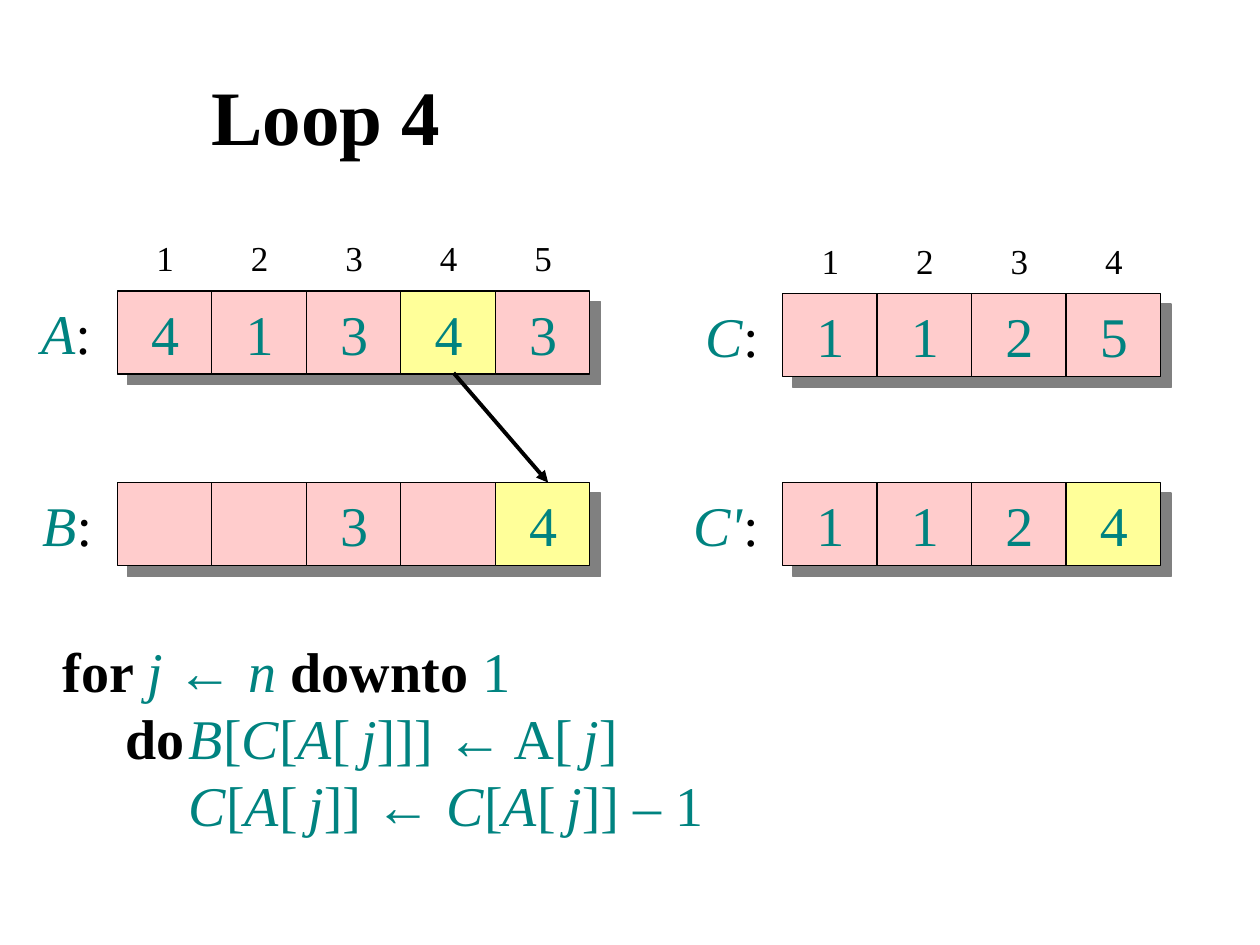
import lxml.etree
import pptx
import pptx.dml.color
import pptx.enum.shapes
import pptx.enum.text
import pptx.oxml
import pptx.oxml.ns
import pptx.util

ALIGN = pptx.enum.text.PP_ALIGN
ANCHOR = pptx.enum.text.MSO_ANCHOR
PX = 9144  # EMU in one px, at 100 px to the inch
COLORS = {"ink": "000000", "teal": "008380", "cell": "FFCCCC",
          "active": "FFFF99", "shadow": "808080"}
STYLES = {
    "title": {"size": 44, "color": "ink", "bold": True},
    "keyword": {"color": "ink", "bold": True},
    "plain": {"color": "ink"},
    "index": {"size": 20, "color": "ink"},
    "variable": {"italic": True},
    "value": {},
    "arrow": {"face": "Arial"},
    "gap": {"size": 24},
}

CELL_WIDTH, CELL_HEIGHT = 75, 66
# name, name left, name width, first cell left, top, values, active cell, indexed
ARRAYS = [
    ("A", 21, 61, 93, 231, "41343", 3, True),
    ("B", 22, 61, 93, 383, "  3 4", 4, False),
    ("C", 548, 64, 621, 233, "1125", None, True),
    ("C'", 539, 73, 621, 383, "1124", 3, False),
]

# the runs of "[ j]"
AT_J = [("[", "value"), (" ", "gap"), ("j", "variable"), ("]", "value")]
C_AT_A_AT_J = [("C", "variable"), ("[", "value"), ("A", "variable"), *AT_J, ("]", "value")]
CODE = [
    [("for ", "keyword"), ("j ", "variable"), ("← ", "arrow"), ("n ", "variable"),
     ("downto ", "keyword"), ("1", "value")],
    [("do\t", "keyword"), ("B", "variable"), ("[", "value"), *C_AT_A_AT_J,
     ("] ", "value"), ("←", "arrow"), (" A", "value"), *AT_J],
    [("\t", "plain"), *C_AT_A_AT_J, (" ", "value"), ("← ", "arrow"), *C_AT_A_AT_J,
     (" – 1", "value")],
]


def rgb(name):
    return pptx.dml.color.RGBColor.from_string(COLORS[name])


def add_run(paragraph, text, face="Times New Roman", size=32, color="teal",
            bold=False, italic=False):
    run = paragraph.add_run()
    run.text = text
    font = run.font
    font.name, font.size = face, pptx.util.Pt(size)
    font.bold, font.italic = bold, italic
    font.color.rgb = rgb(color)


class Deck:
    """Holds the look of the slide and the slide being filled."""

    def __init__(self, width, height):
        self.presentation = pptx.Presentation()
        self.presentation.slide_width = width * PX
        self.presentation.slide_height = height * PX
        self.slide = self.presentation.slides.add_slide(self.presentation.slide_layouts[5])
        self.shapes = self.slide.shapes

    def fill_paragraph(self, paragraph, runs, align=ALIGN.LEFT):
        paragraph.alignment = align
        for text, style in runs:
            add_run(paragraph, text, **STYLES[style])

    def title(self, text, left, top, width, height):
        heading = self.shapes.title
        heading.left, heading.top = left * PX, top * PX
        heading.width, heading.height = width * PX, height * PX
        heading.text_frame.vertical_anchor = ANCHOR.MIDDLE
        paragraph = heading.text_frame.paragraphs[0]
        paragraph.line_spacing = 0.9
        self.fill_paragraph(paragraph, [(text, "title")])

    def label(self, runs, left, top, width, height, align=ALIGN.CENTER, anchor=ANCHOR.TOP):
        box = self.shapes.add_textbox(left * PX, top * PX, width * PX, height * PX)
        frame = box.text_frame
        frame.word_wrap = False
        frame.auto_size = pptx.enum.text.MSO_AUTO_SIZE.SHAPE_TO_FIT_TEXT
        frame.vertical_anchor = anchor
        self.fill_paragraph(frame.paragraphs[0], runs, align)
        return box

    def cell(self, value, left, top, color):
        tile = self.shapes.add_shape(
            pptx.enum.shapes.MSO_SHAPE.ROUNDED_RECTANGLE,
            left * PX, top * PX, CELL_WIDTH * PX, CELL_HEIGHT * PX)
        tile.adjustments[0] = 0
        tile.fill.solid()
        tile.fill.fore_color.rgb = rgb(color)
        tile.line.color.rgb = rgb("ink")
        tile.line.width = pptx.util.Pt(0.75)
        self.drop_shadow(tile)
        if value.strip():
            digit = self.label([(value, "value")], left + 17, top + 1, 42, 64,
                               anchor=ANCHOR.MIDDLE)
            self.shapes.add_group_shape([tile, digit])

    def drop_shadow(self, shape):
        shape.shadow.inherit = False
        effects = shape._element.spPr.find(pptx.oxml.ns.qn("a:effectLst"))
        shadow = lxml.etree.SubElement(
            effects, pptx.oxml.ns.qn("a:outerShdw"), blurRad="0",
            dist=str(pptx.util.Pt(8.5)), dir="2700000", algn="ctr", rotWithShape="0")
        lxml.etree.SubElement(shadow, pptx.oxml.ns.qn("a:srgbClr"), val=COLORS["shadow"])

    def array(self, name, name_left, name_width, left, top, values, active, indexed):
        self.label([(name, "variable"), (":", "plain")], name_left, top + 1,
                   name_width, 64, align=ALIGN.RIGHT)
        for i, value in enumerate(values):
            cell_left = left + i * CELL_WIDTH
            self.cell(value, cell_left, top, "active" if i == active else "cell")
            if indexed:
                self.label([(str(i + 1), "index")], cell_left + 21, top - 48, 34, 44)

    def code(self, lines, left, top, width, height):
        box = self.shapes.add_textbox(left * PX, top * PX, width * PX, height * PX)
        frame = box.text_frame
        frame.word_wrap = True
        for i, runs in enumerate(lines):
            paragraph = frame.add_paragraph() if i else frame.paragraphs[0]
            if i:
                self.indent(paragraph, 50, 150)
            self.fill_paragraph(paragraph, runs)

    def indent(self, paragraph, margin, tab):
        """Indent a paragraph and set its tab stop, both from the text edge of the box."""
        paragraph.level = 1
        properties = paragraph._p.get_or_add_pPr()
        properties.set("marL", str(margin * PX))
        properties.set("indent", "0")
        tabs = lxml.etree.SubElement(properties, pptx.oxml.ns.qn("a:tabLst"))
        lxml.etree.SubElement(tabs, pptx.oxml.ns.qn("a:tab"), pos=str(tab * PX), algn="l")

    def arrow(self, x1, y1, x2, y2):
        link = self.shapes.add_connector(
            pptx.enum.shapes.MSO_CONNECTOR.STRAIGHT, x1 * PX, y1 * PX, x2 * PX, y2 * PX)
        link.line.color.rgb = rgb("ink")
        link.line.width = pptx.util.Pt(2.25)
        lxml.etree.SubElement(link.line._get_or_add_ln(), pptx.oxml.ns.qn("a:tailEnd"),
                              type="triangle")
        lxml.etree.SubElement(link._element.spPr, pptx.oxml.ns.qn("a:effectLst"))


def main():
    deck = Deck(1000, 750)
    deck.title("Loop 4", 158, 33, 825, 125)
    for array in ARRAYS:
        deck.array(*array)
    deck.code(CODE, 40, 500, 921, 170)
    deck.arrow(360, 296, 435, 383)
    deck.presentation.save("out.pptx")


if __name__ == "__main__":
    main()
